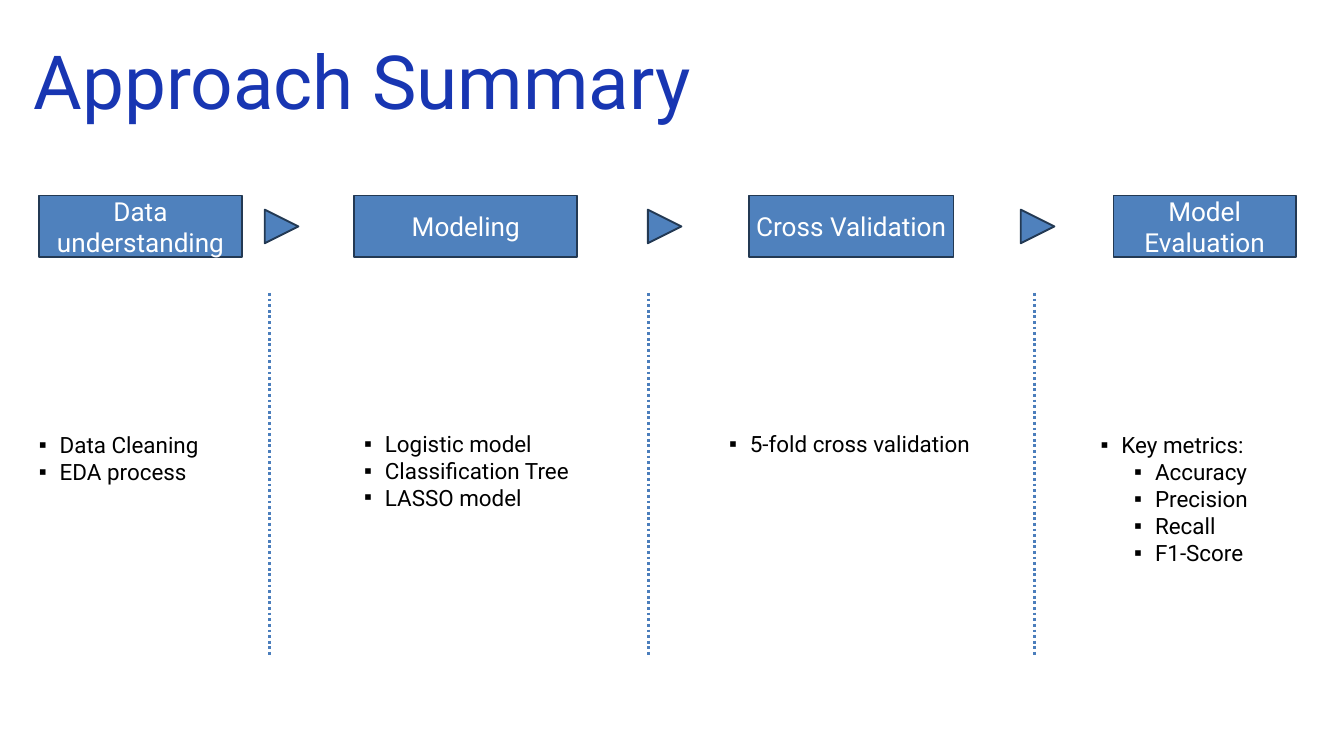
from dataclasses import dataclass

from lxml import etree
from pptx import Presentation
from pptx.dml.color import RGBColor
from pptx.enum import dml, shapes, text
from pptx.oxml import ns
from pptx.util import Inches, Pt


@dataclass(frozen=True)
class Theme:
    font: str = "Roboto"
    title_color: RGBColor = RGBColor(0x18, 0x36, 0xB2)
    fill: RGBColor = RGBColor(0x4F, 0x81, 0xBD)
    outline: RGBColor = RGBColor(0x23, 0x39, 0x53)
    divider: RGBColor = RGBColor(0x4B, 0x7E, 0xBC)
    on_fill: RGBColor = RGBColor(0xFF, 0xFF, 0xFF)
    body: RGBColor = RGBColor(0, 0, 0)
    title_size: int = 80
    step_size: int = 28
    body_size: int = 24


THEME = Theme()

STEP_TOP, STEP_HEIGHT = 2.91, 0.92
ARROW_SIZE = 0.5
ARROW_TOP = STEP_TOP + (STEP_HEIGHT - ARROW_SIZE) / 2
DIVIDER_TOP, DIVIDER_BOTTOM = 4.36, 9.78

# Step name, (left, width) of its box, list box, and (level, bullet) lines
STEPS = [
    ("Data understanding", (0.58, 3.02), (0.48, 6.37, 3.35, 0.91),
     [(0, "Data Cleaning"), (0, "EDA process")]),
    ("Modeling", (5.27, 3.32), (5.32, 6.35, 4.44, 1.31),
     [(0, "Logistic model"), (0, "Classification Tree"), (0, "LASSO model")]),
    ("Cross Validation", (11.14, 3.05), (10.75, 6.35, 4.32, 0.5),
     [(0, "5-fold cross validation")]),
    ("Model Evaluation", (16.57, 2.71), (16.28, 6.37, 3.72, 2.12),
     [(0, "Key metrics:"), (1, "Accuracy"), (1, "Precision"),
      (1, "Recall"), (1, "F1-Score")]),
]
ARROW_LEFTS = [3.94, 9.64, 15.19]
DIVIDER_LEFTS = [4.01, 9.65, 15.4]


def inches(*lengths):
    return [Inches(length) for length in lengths]


def set_font(paragraph, size, color):
    paragraph.font.name = THEME.font
    paragraph.font.size = Pt(size)
    paragraph.font.color.rgb = color


def add_title(slide, box, wording):
    title = slide.shapes.title
    title.left, title.top, title.width, title.height = inches(*box)
    frame = title.text_frame
    frame.text = wording
    frame.auto_size = text.MSO_AUTO_SIZE.NONE
    frame.vertical_anchor = text.MSO_ANCHOR.TOP
    frame.margin_left = frame.margin_right = 0
    frame.margin_top = frame.margin_bottom = 0
    paragraph = frame.paragraphs[0]
    paragraph.alignment = text.PP_ALIGN.LEFT
    paragraph.line_spacing = Pt(88)
    set_font(paragraph, THEME.title_size, THEME.title_color)


def add_filled_shape(slide, kind, box):
    shape = slide.shapes.add_shape(kind, *inches(*box))
    shape.shadow.inherit = False
    shape.fill.solid()
    shape.fill.fore_color.rgb = THEME.fill
    shape.line.color.rgb = THEME.outline
    shape.line.width = Pt(2)
    return shape


def add_step(slide, box, name):
    shape = add_filled_shape(slide, shapes.MSO_SHAPE.RECTANGLE, box)
    frame = shape.text_frame
    frame.text = name
    frame.word_wrap = True
    frame.vertical_anchor = text.MSO_ANCHOR.MIDDLE
    paragraph = frame.paragraphs[0]
    paragraph.alignment = text.PP_ALIGN.CENTER
    set_font(paragraph, THEME.step_size, THEME.on_fill)


def add_arrow(slide, box):
    arrow = add_filled_shape(slide, shapes.MSO_SHAPE.ISOSCELES_TRIANGLE, box)
    arrow.rotation = 90


def add_divider(slide, left, top, bottom):
    divider = slide.shapes.add_connector(
        shapes.MSO_CONNECTOR.STRAIGHT, *inches(left, top, left, bottom))
    divider.line.color.rgb = THEME.divider
    divider.line.width = Pt(3)
    divider.line.dash_style = dml.MSO_LINE.ROUND_DOT
    properties = divider.element.find(ns.qn("p:spPr"))
    etree.SubElement(properties, ns.qn("a:effectLst"))


def set_bullet(paragraph, level):
    paragraph.level = level
    properties = paragraph._p.get_or_add_pPr()
    properties.set("marL", str(Inches(0.31 + 0.5 * level)))
    properties.set("indent", str(Inches(-0.31)))
    etree.SubElement(properties, ns.qn("a:buFont"), typeface="Arial")
    etree.SubElement(properties, ns.qn("a:buChar"), char="▪")


def add_bullet_list(slide, box, lines):
    frame = slide.shapes.add_textbox(*inches(*box)).text_frame
    frame.word_wrap = True
    frame.auto_size = text.MSO_AUTO_SIZE.SHAPE_TO_FIT_TEXT
    for index, (level, wording) in enumerate(lines):
        paragraph = frame.add_paragraph() if index else frame.paragraphs[0]
        paragraph.text = wording
        set_bullet(paragraph, level)
        set_font(paragraph, THEME.body_size, THEME.body)


def add_approach_slide(presentation):
    slide = presentation.slides.add_slide(presentation.slide_layouts[5])
    add_title(slide, (0.5, 0.63, 10.46, 1.23), "Approach Summary")
    for name, (left, width), list_box, lines in STEPS:
        add_step(slide, (left, STEP_TOP, width, STEP_HEIGHT), name)
        add_bullet_list(slide, list_box, lines)
    for left in DIVIDER_LEFTS:
        add_divider(slide, left, DIVIDER_TOP, DIVIDER_BOTTOM)
    for left in ARROW_LEFTS:
        add_arrow(slide, (left, ARROW_TOP, ARROW_SIZE, ARROW_SIZE))


def main():
    presentation = Presentation()
    presentation.slide_width, presentation.slide_height = inches(20, 11.25)
    add_approach_slide(presentation)
    presentation.save("out.pptx")


if __name__ == "__main__":
    main()
